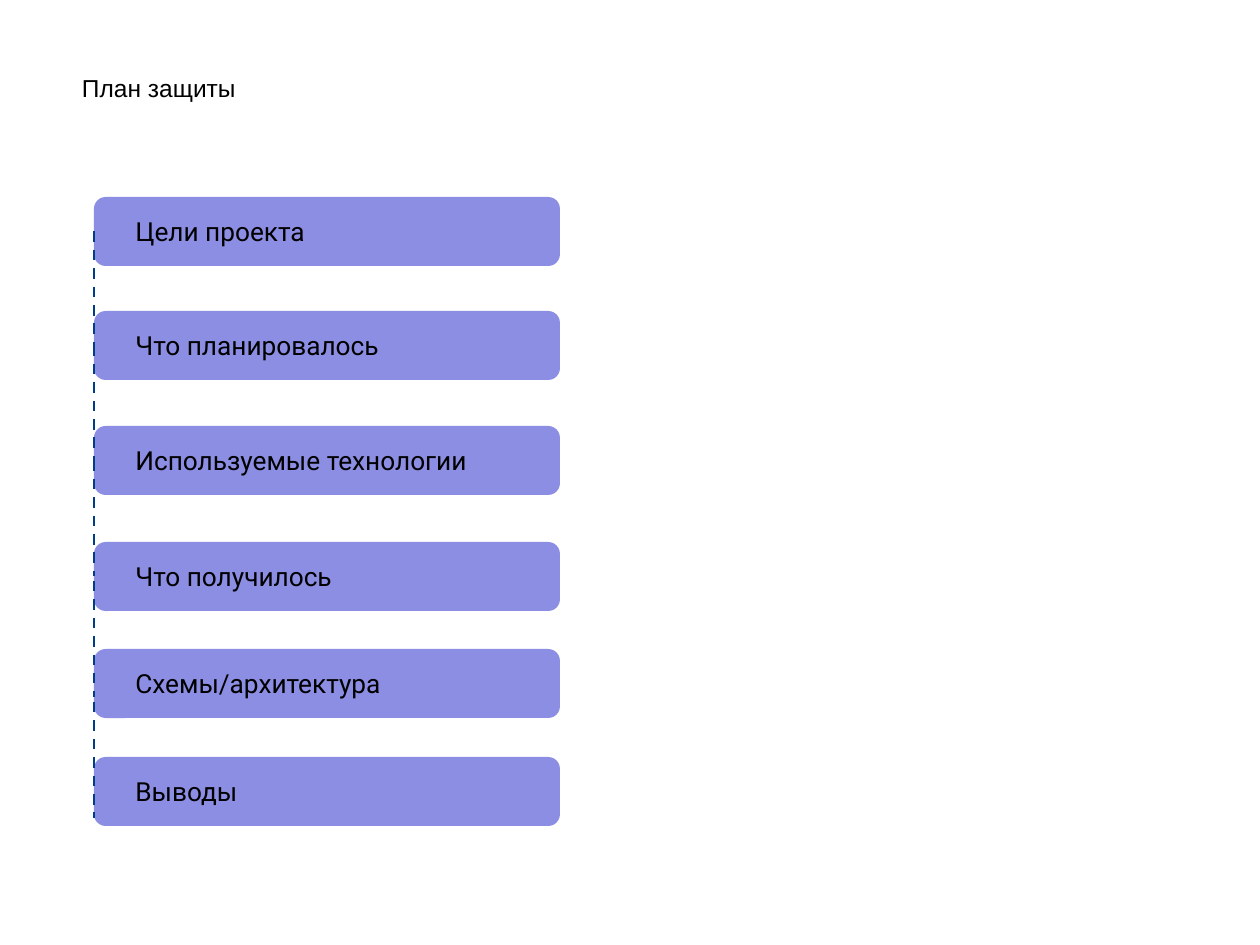
from dataclasses import dataclass

from lxml.etree import SubElement
from pptx import Presentation
from pptx.dml.color import RGBColor
from pptx.enum.dml import MSO_LINE
from pptx.enum.shapes import MSO_CONNECTOR, MSO_SHAPE
from pptx.enum.text import MSO_ANCHOR, MSO_AUTO_SIZE, PP_ALIGN
from pptx.oxml.ns import qn
from pptx.util import Pt

PX = 914400 // 126
LEFT_SIDE = 1


@dataclass(frozen=True)
class Theme:
    text: RGBColor = RGBColor(0x00, 0x00, 0x00)
    step: RGBColor = RGBColor(0x8B, 0x8E, 0xE3)
    line: RGBColor = RGBColor(0x01, 0x3D, 0x85)
    title_font: str = "Arial"
    title_size: int = 14
    step_font: str = "Roboto"
    step_size: int = 15
    line_width: float = 1.5


THEME = Theme()
STEP_HEIGHT = 69
STEPS = [
    ("Цели проекта", 0),
    ("Что планировалось", 114),
    ("Используемые технологии", 229),
    ("Что получилось", 345),
    ("Схемы/архитектура", 452),
    ("Выводы", 560),
]
JOINED_LINKS = 3
FREE_LINKS = [(384, 500), (505, 621)]


def px(*lengths):
    return [length * PX for length in lengths]


def write_text(shape, text, font_name, size, anchor, side_inset):
    frame = shape.text_frame
    side, edge = px(side_inset, 13)
    frame_format = {
        "margin_left": side, "margin_right": side,
        "margin_top": edge, "margin_bottom": edge,
        "vertical_anchor": anchor, "word_wrap": True,
        "auto_size": MSO_AUTO_SIZE.NONE,
    }
    for name, value in frame_format.items():
        setattr(frame, name, value)
    paragraph = frame.paragraphs[0]
    paragraph.alignment = PP_ALIGN.LEFT
    run = paragraph.add_run()
    run.text = text
    for name, value in {"name": font_name, "size": Pt(size)}.items():
        setattr(run.font, name, value)
    run.font.color.rgb = THEME.text


def place_title(slide, left, top, width, height):
    title = slide.shapes.title
    title.left, title.top, title.width, title.height = px(left, top, width, height)
    write_text(title, "План защиты", THEME.title_font, THEME.title_size,
               MSO_ANCHOR.TOP, 13)


def add_step(slide, text, left, top, width, height):
    step = slide.shapes.add_shape(MSO_SHAPE.ROUNDED_RECTANGLE,
                                  *px(left, top, width, height))
    step.adjustments[0] = 0.17
    step.shadow.inherit = False
    step.fill.solid()
    step.fill.fore_color.rgb = THEME.step
    step.line.fill.background()
    write_text(step, text, THEME.step_font, THEME.step_size,
               MSO_ANCHOR.MIDDLE, 38)
    return step


def add_link(slide, x, start, end):
    """Draw a dashed vertical line at x from start to end."""
    link = slide.shapes.add_connector(MSO_CONNECTOR.STRAIGHT,
                                      *px(x, start, x, end))
    SubElement(link._element.spPr, qn("a:effectLst"))
    link.line.color.rgb = THEME.line
    link.line.width = Pt(THEME.line_width)
    link.line.dash_style = MSO_LINE.DASH
    return link


def add_plan(slide, left, top, width):
    """Stack the steps and link them along their left side."""
    steps = [add_step(slide, text, left, top + offset, width, STEP_HEIGHT)
             for text, offset in STEPS]
    for upper, lower in list(zip(steps, steps[1:]))[:JOINED_LINKS]:
        link = add_link(slide, left, top, top)
        link.begin_connect(upper, LEFT_SIDE)
        link.end_connect(lower, LEFT_SIDE)
    for start, end in FREE_LINKS:
        add_link(slide, left, top + start, top + end)


def main():
    presentation = Presentation()
    presentation.slide_width, presentation.slide_height = px(1260, 945)
    slide = presentation.slides.add_slide(presentation.slide_layouts[5])
    place_title(slide, 69, 60, 1174, 103)
    add_plan(slide, 94, 197, 466)
    presentation.save("out.pptx")


if __name__ == "__main__":
    main()
